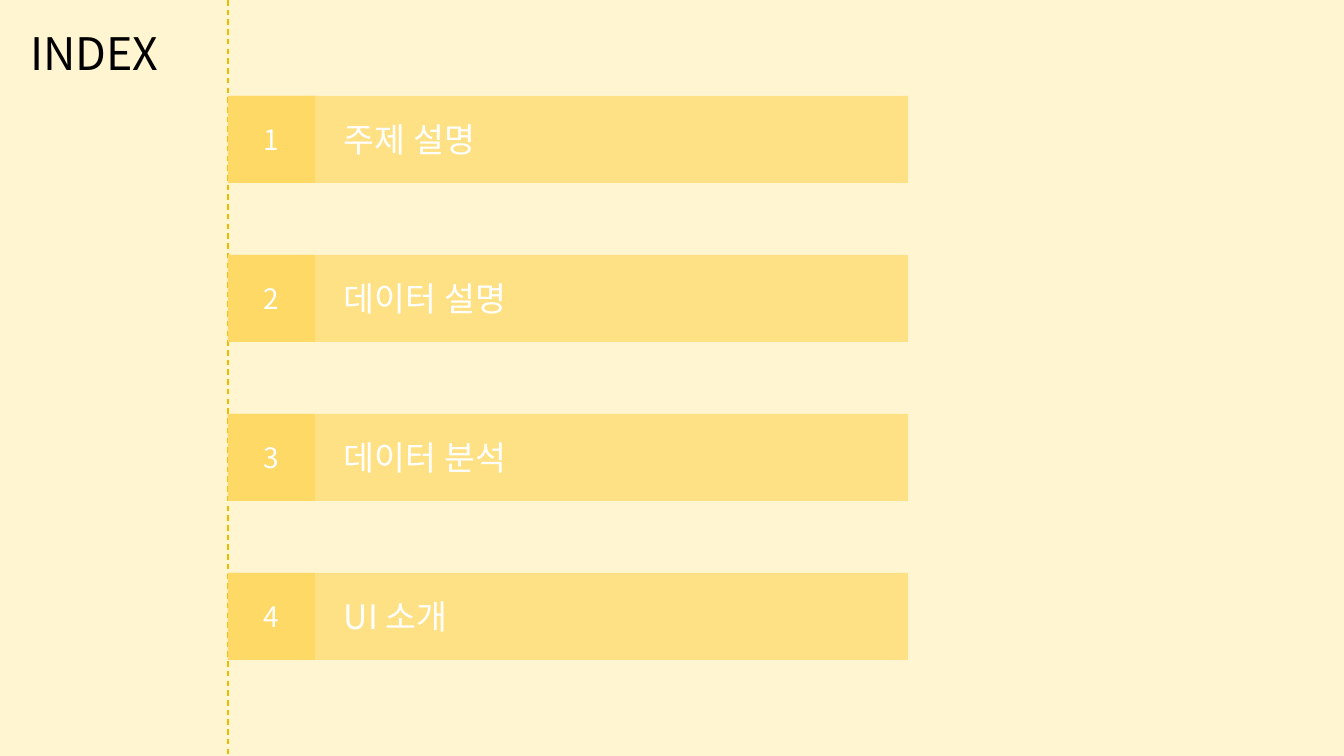
from lxml import etree
from pptx import Presentation
from pptx.dml.color import RGBColor
from pptx.enum.dml import MSO_LINE
from pptx.enum.shapes import MSO_CONNECTOR, MSO_SHAPE
from pptx.enum.text import MSO_ANCHOR, MSO_AUTO_SIZE, PP_ALIGN
from pptx.oxml.ns import qn
from pptx.util import Pt

RECT = MSO_SHAPE.RECTANGLE
STRAIGHT = MSO_CONNECTOR.STRAIGHT
DASH = MSO_LINE.DASH
TOP, MIDDLE = MSO_ANCHOR.TOP, MSO_ANCHOR.MIDDLE
LEFT, CENTER, JUSTIFY = PP_ALIGN.LEFT, PP_ALIGN.CENTER, PP_ALIGN.JUSTIFY
GROW = MSO_AUTO_SIZE.SHAPE_TO_FIT_TEXT

W, H = 1344, 756
SCALE = 12192000 / W
FONT = "Noto Sans CJK KR"
COLORS = {"paper": "FFF5D1", "bar": "FFD966", "rule": "EEBB00",
          "title": "000000", "label": "FFFFFF"}
TOPICS = ["주제 설명", "데이터 설명", "데이터 분석", "UI 소개"]
RULE_X, FIRST_Y, PITCH = 228, 96, 159
BAR_W, BADGE = 680, 87


def px(n):
    """Turn px into EMU."""
    return round(n * SCALE)


def rgb(name):
    """Look up a named colour."""
    return RGBColor.from_string(COLORS[name])


class Deck:
    """Hold the style and the current slide."""

    def __init__(self):
        """Start a deck with one title-only slide."""
        self.prs = Presentation()
        self.prs.slide_width, self.prs.slide_height = px(W), px(H)
        self.s = self.prs.slides.add_slide(self.prs.slide_layouts[5])
        fill = self.s.background.fill
        fill.solid()
        fill.fore_color.rgb = rgb("paper")

    def text(self, sp, text, size, color, align, anchor=TOP):
        """Write one styled paragraph into a shape."""
        tf = sp.text_frame
        tf.text = text
        tf.word_wrap = True
        tf.vertical_anchor = anchor
        p = tf.paragraphs[0]
        p.alignment = align
        r = p.runs[0]
        r.font.size = Pt(size)
        r.font.color.rgb = rgb(color)
        r.font.name = FONT
        ea = etree.SubElement(r.font._element, qn("a:ea"))
        ea.set("typeface", FONT)

    def title(self, x, y, w, h, text):
        """Place and format the title placeholder."""
        sp = self.s.shapes.title
        sp.left, sp.top, sp.width, sp.height = map(px, (x, y, w, h))
        self.text(sp, text, 32, "title", JUSTIFY)
        sp.text_frame.auto_size = GROW

    def dashed_line(self, x1, y1, x2, y2):
        """Draw a thin dashed line."""
        c = self.s.shapes.add_connector(STRAIGHT, *map(px, (x1, y1, x2, y2)))
        c.line.color.rgb = rgb("rule")
        c.line.width = Pt(1)
        c.line.dash_style = DASH
        etree.SubElement(c._element.spPr, qn("a:effectLst"))

    def rect(self, shapes, x, y, w, h, alpha=100):
        """Draw a borderless bar, optionally see-through."""
        sp = shapes.add_shape(RECT, *map(px, (x, y, w, h)))
        sp.shadow.inherit = False
        sp.line.fill.background()
        sp.fill.solid()
        sp.fill.fore_color.rgb = rgb("bar")
        if alpha < 100:
            color = sp._element.spPr.find(".//" + qn("a:srgbClr"))
            etree.SubElement(color, qn("a:alpha")).set("val", str(alpha * 1000))
        return sp

    def label(self, shapes, x, y, w, h, text):
        """Add a topic label."""
        sp = shapes.add_textbox(*map(px, (x, y, w, h)))
        self.text(sp, text, 24, "label", LEFT)
        sp.text_frame.auto_size = GROW

    def index_row(self, y, number, topic):
        """Add a grouped row of bar, number badge and topic."""
        shapes = self.s.shapes.add_group_shape().shapes
        self.rect(shapes, RULE_X, y, BAR_W, BADGE, alpha=70)
        badge = self.rect(shapes, RULE_X, y, BADGE, BADGE)
        self.text(badge, str(number), 20, "label", CENTER, MIDDLE)
        self.label(shapes, RULE_X + 106, y + 18, 425, 50, topic)


def main():
    """Build the index slide."""
    deck = Deck()
    deck.title(20, 21, 188, 65, "INDEX")
    deck.dashed_line(RULE_X, 0, RULE_X, H)
    for i, topic in enumerate(TOPICS):
        deck.index_row(FIRST_Y + i * PITCH, i + 1, topic)
    deck.prs.save("out.pptx")


if __name__ == "__main__":
    main()
